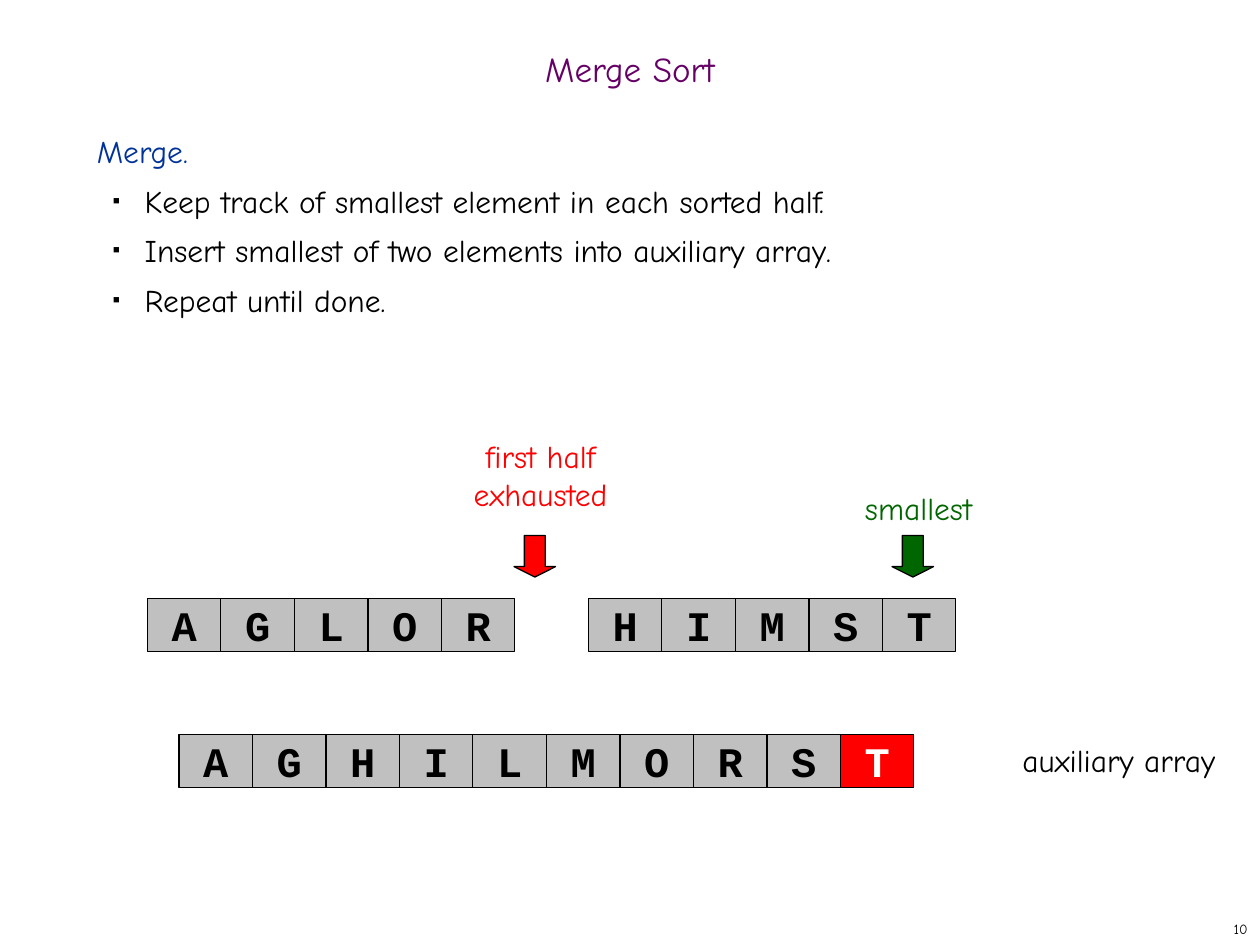
from lxml.etree import SubElement
from pptx import Presentation
from pptx.dml.color import RGBColor
from pptx.enum.shapes import MSO_SHAPE
from pptx.enum.text import MSO_ANCHOR, MSO_AUTO_SIZE, PP_ALIGN
from pptx.oxml.ns import qn
from pptx.util import Inches, Pt

COLORS = {
    "black": "000000", "white": "FFFFFF", "gray": "C0C0C0", "red": "FF0000",
    "green": "006600", "blue": "003399", "purple": "660066", "outline": "010000",
}
CELL_WIDTH, CELL_HEIGHT = 7 / 12, 0.42


def write(paragraph, text, size=18, color="black", font="Comic Neue", bold=False,
          align=PP_ALIGN.CENTER, line_spacing=None, space_before=0):
    paragraph.text = text
    paragraph.alignment = align
    paragraph.space_before = Pt(space_before)
    if line_spacing:
        paragraph.line_spacing = line_spacing
    for run in paragraph.runs:
        run.font.size = Pt(size)
        run.font.name = font
        run.font.bold = bold
        run.font.color.rgb = RGBColor.from_string(COLORS[color])


def add_block(preset, left, top, width, height, fill, line):
    block = slide.shapes.add_shape(
        preset, Inches(left), Inches(top), Inches(width), Inches(height))
    block.shadow.inherit = False
    block.fill.solid()
    block.fill.fore_color.rgb = RGBColor.from_string(COLORS[fill])
    block.line.color.rgb = RGBColor.from_string(COLORS[line])
    block.line.width = Pt(0.75)
    return block


deck = Presentation()
deck.slide_width, deck.slide_height = Inches(10), Inches(7.5)
slide = deck.slides.add_slide(deck.slide_layouts[5])

# Title
title = slide.shapes.title
title.left, title.top = Inches(0), Inches(0.25)
title.width, title.height = Inches(10), Inches(0.67)
title.text_frame.auto_size = MSO_AUTO_SIZE.NONE
title.text_frame.vertical_anchor = MSO_ANCHOR.MIDDLE
write(title.text_frame.paragraphs[0], "Merge Sort", size=20, color="purple",
      line_spacing=0.7)

# Merge steps
steps = slide.shapes.add_textbox(
    Inches(0.67), Inches(1), Inches(8.58), Inches(5.92)).text_frame
steps.word_wrap = True
write(steps.paragraphs[0], "Merge.", color="blue", align=PP_ALIGN.LEFT, space_before=4.5)
for step in (
    "Keep track of smallest element in each sorted half.",
    "Insert smallest of two elements into auxiliary array.",
    "Repeat until done.",
):
    bullet = steps.add_paragraph()
    write(bullet, step, align=PP_ALIGN.LEFT, line_spacing=1.1, space_before=4.5)
    bullet.level = 1
    properties = bullet.runs[0].font.fill and bullet._p.get_or_add_pPr()
    properties.set("marL", str(Inches(0.38)))
    properties.set("indent", str(Inches(-0.25)))
    bullet_color = SubElement(properties, qn("a:buClr"))
    SubElement(bullet_color, qn("a:srgbClr"), val=COLORS["black"])
    SubElement(properties, qn("a:buSzPct"), val="35000")
    SubElement(properties, qn("a:buFont"), typeface="Arial")
    SubElement(properties, qn("a:buChar"), char="■")

# Labels and slide number
for text, left, top, width, height, style in (
    ("first half\nexhausted", 3.25, 3.42, 2.08, 0.7, {"color": "red"}),
    ("smallest", 6.25, 3.83, 2.08, 0.4, {"color": "green"}),
    ("auxiliary array", 7.92, 5.83, 1.92, 0.4, {}),
    ("10", 7.92, 7.25, 2.08, 0.25, {"size": 8, "align": PP_ALIGN.RIGHT}),
):
    label = slide.shapes.add_textbox(
        Inches(left), Inches(top), Inches(width), Inches(height)).text_frame
    label.word_wrap = True
    label.vertical_anchor = MSO_ANCHOR.MIDDLE
    write(label.paragraphs[0], text, **style)

# Pointers into the two halves
for left, color in ((4.08, "red"), (7.08, "green")):
    pointer = add_block(MSO_SHAPE.DOWN_ARROW, left, 4.25, 0.33, 0.33, color, "outline")
    pointer.adjustments[0] = 0.5
    pointer.adjustments[1] = 0.25

# Sorted halves and auxiliary array, with the newest element highlighted
for letters, array_left, top, newest in (
    ("AGLOR", 1.17, 4.75, None),
    ("HIMST", 4.67, 4.75, None),
    ("AGHILMORST", 1.42, 5.83, 9),
):
    for index, letter in enumerate(letters):
        fill, color = ("red", "white") if index == newest else ("gray", "black")
        cell = add_block(MSO_SHAPE.RECTANGLE, array_left + index * CELL_WIDTH, top,
                         CELL_WIDTH, CELL_HEIGHT, fill, "black").text_frame
        cell.word_wrap = False
        cell.vertical_anchor = MSO_ANCHOR.MIDDLE
        write(cell.paragraphs[0], letter, size=24, color=color,
              font="Courier New", bold=True)

deck.save("out.pptx")
